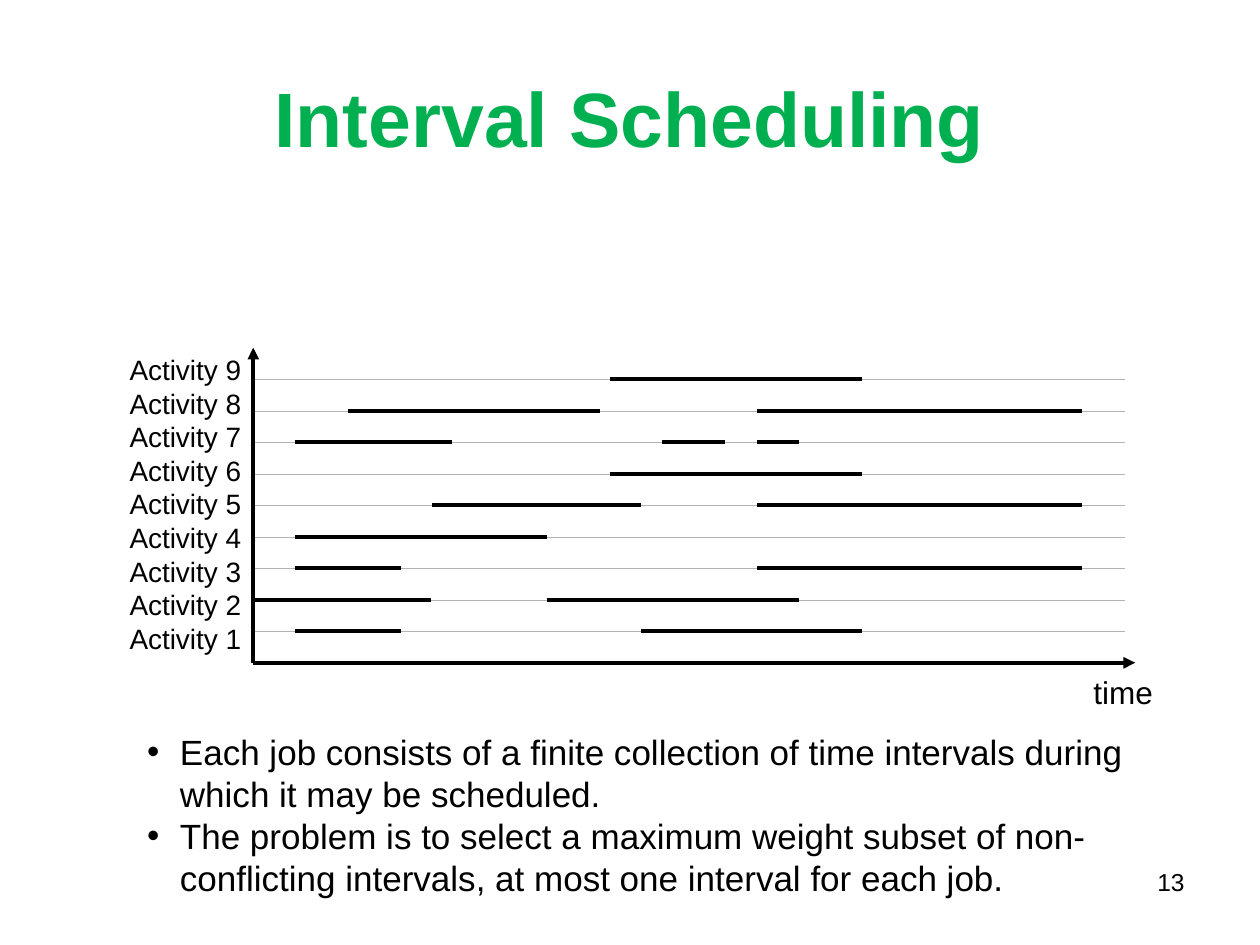
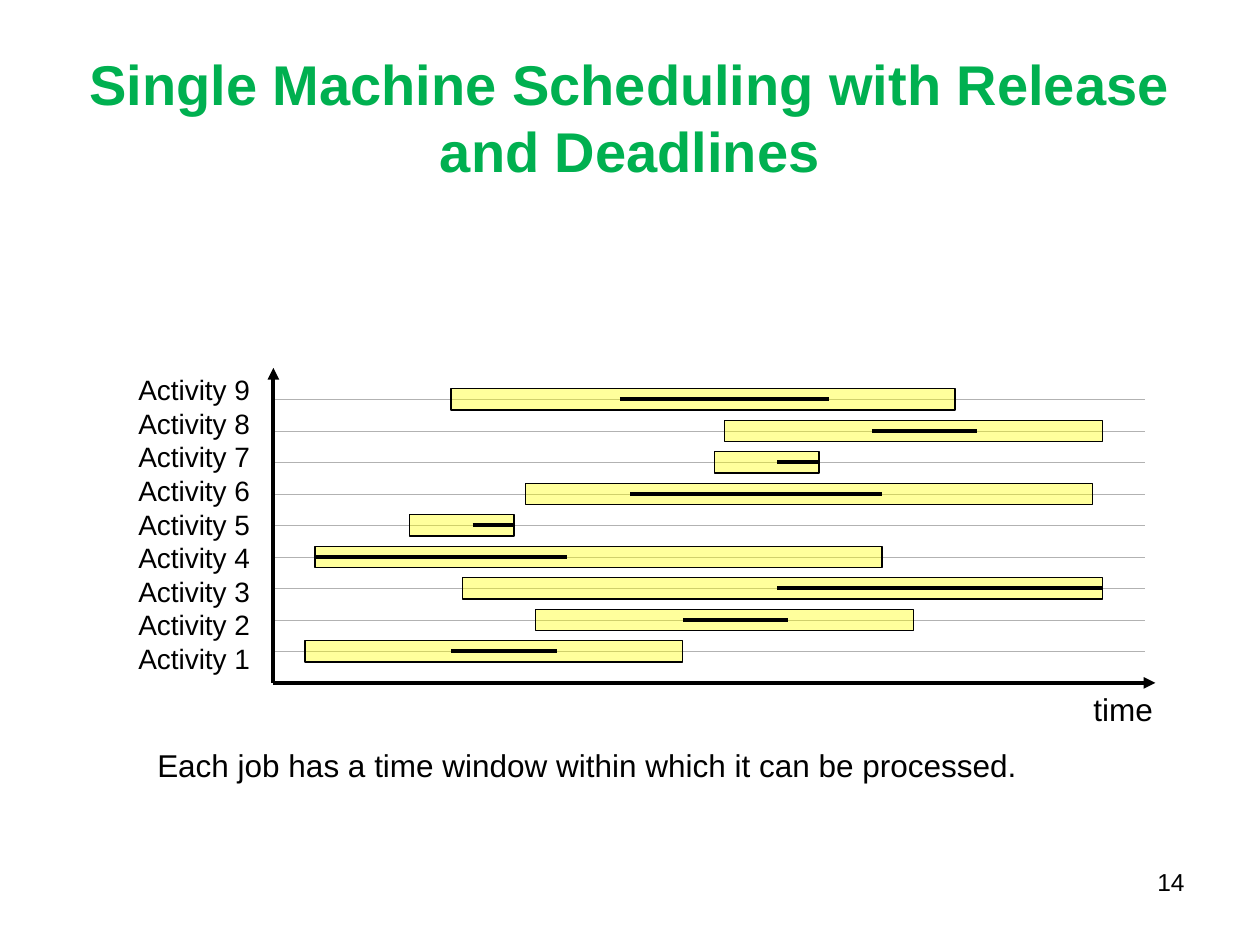
from lxml import etree
from pptx import Presentation
from pptx.dml.color import RGBColor
from pptx.enum.shapes import MSO_CONNECTOR, MSO_SHAPE
from pptx.enum.text import MSO_ANCHOR, PP_ALIGN
from pptx.oxml.ns import qn
from pptx.util import Inches, Pt

LEFT, CENTER, RIGHT = PP_ALIGN.LEFT, PP_ALIGN.CENTER, PP_ALIGN.RIGHT
TOP, MIDDLE = MSO_ANCHOR.TOP, MSO_ANCHOR.MIDDLE
STRAIGHT = MSO_CONNECTOR.STRAIGHT
RECTANGLE = MSO_SHAPE.RECTANGLE

BLACK = RGBColor(0x00, 0x00, 0x00)
GREEN = RGBColor(0x00, 0xB0, 0x50)
GREY = RGBColor(0xB2, 0xB2, 0xB2)
YELLOW = RGBColor(0xFF, 0xFF, 0x00)
FONT = "Arial"

ACTIVITIES = 9
ROW_GAP = 0.25
WINDOW_HEIGHT = 0.17
AXIS_LENGTH, AXIS_HEIGHT, GRID_LENGTH = 7, 2.5, 6.92

slides = [
    {
        "title": "Interval Scheduling", "title_size": 44, "number": 13,
        "origin": (2.01, 5.26), "labels_at": (0.93, 2.75), "time_top": 5.29,
        "windows": {},
        "intervals": {
            1: [(2.34, 3.18), (5.09, 6.84)],
            2: [(2.01, 3.42), (4.34, 6.34)],
            3: [(2.34, 3.18), (6.01, 8.59)],
            4: [(2.34, 4.34)],
            5: [(3.43, 5.09), (6.01, 8.59)],
            6: [(4.84, 6.84)],
            7: [(2.34, 3.59), (5.25, 5.75), (6.01, 6.34)],
            8: [(2.76, 4.76), (6.01, 8.59)],
            9: [(4.84, 6.84)],
        },
        "notes_box": (1.07, 5.75, 8.6, 1.77), "notes_size": 20, "bullets": True,
        "notes": [
            "Each job consists of a finite collection of time intervals during "
            "which it may be scheduled.",
            "The problem is to select a maximum weight subset of non-conflicting "
            "intervals, at most one interval for each job.",
        ],
    },
    {
        "title": "Single Machine Scheduling with Release and Deadlines",
        "title_size": 32, "number": 14,
        "origin": (2.17, 5.42), "labels_at": (1, 2.91), "time_top": 5.43,
        "windows": {
            1: (2.42, 5.42), 2: (4.25, 7.25), 3: (3.67, 8.75),
            4: (2.5, 7), 5: (3.25, 4.08), 6: (4.17, 8.67),
            7: (5.67, 6.5), 8: (5.75, 8.75), 9: (3.58, 7.58),
        },
        "intervals": {
            1: [(3.58, 4.42)], 2: [(5.42, 6.25)], 3: [(6.17, 8.75)],
            4: [(2.5, 4.5)], 5: [(3.75, 4.08)], 6: [(5, 7)],
            7: [(6.17, 6.5)], 8: [(6.92, 7.75)], 9: [(4.92, 6.58)],
        },
        "notes_box": (1.15, 5.87, 7.2, 0.4), "notes_size": 18, "bullets": False,
        "notes": ["Each job has a time window within which it can be processed."],
    },
]


def add_text(s, box, lines, size, color=BLACK, align=LEFT, anchor=TOP, bold=False):
    tf = s.shapes.add_textbox(*map(Inches, box)).text_frame
    tf.word_wrap = True
    tf.vertical_anchor = anchor
    tf.text = "\n".join(lines)
    for p in tf.paragraphs:
        p.alignment = align
        p.font.name = FONT
        p.font.size = Pt(size)
        p.font.bold = bold
        p.font.color.rgb = color
    return tf


def add_line(s, x1, y1, x2, y2, color=BLACK, width=2.25, arrow=False):
    line = s.shapes.add_connector(STRAIGHT, *map(Inches, (x1, y1, x2, y2)))
    line.line.color.rgb = color
    line.line.width = Pt(width)
    if arrow:
        etree.SubElement(line.line._get_or_add_ln(), qn("a:tailEnd"), type="triangle")
    etree.SubElement(line._element.spPr, qn("a:effectLst"))


prs = Presentation()
prs.slide_width = Inches(10)
prs.slide_height = Inches(7.5)

for content in slides:
    s = prs.slides.add_slide(prs.slide_layouts[6])
    add_text(s, (0.5, 0.3, 9, 1.25), [content["title"]], content["title_size"],
             GREEN, CENTER, MIDDLE, bold=True)
    add_text(s, (7.17, 6.83, 2.33, 0.52), [str(content["number"])], 14, align=RIGHT)

    x0, y0 = content["origin"]
    for activity in range(1, ACTIVITIES + 1):
        y = y0 - activity * ROW_GAP
        add_line(s, x0, y, x0 + GRID_LENGTH, y, GREY, 0.25)
    add_line(s, x0, y0, x0 + AXIS_LENGTH, y0, arrow=True)
    add_line(s, x0, y0, x0, y0 - AXIS_HEIGHT, arrow=True)

    for activity, (release, deadline) in content["windows"].items():
        top = y0 - activity * ROW_GAP - WINDOW_HEIGHT / 2
        sp = s.shapes.add_shape(RECTANGLE, Inches(release), Inches(top),
                                Inches(deadline - release), Inches(WINDOW_HEIGHT))
        sp.shadow.inherit = False
        sp.fill.solid()
        sp.fill.fore_color.rgb = YELLOW
        color = sp._element.spPr.find(qn("a:solidFill"))[0]
        etree.SubElement(color, qn("a:alpha"), val="39000")
        sp.line.color.rgb = BLACK
        sp.line.width = Pt(0.75)

    for activity, spans in content["intervals"].items():
        y = y0 - activity * ROW_GAP
        for start, end in spans:
            add_line(s, start, y, end, y)

    labels = [f"Activity {n}" for n in range(ACTIVITIES, 0, -1)]
    add_text(s, (*content["labels_at"], 1.2, 2.5), labels, 16)
    add_text(s, (8.58, content["time_top"], 0.8, 0.4), ["time"], 18)

    tf = add_text(s, content["notes_box"], content["notes"], content["notes_size"])
    if content["bullets"]:
        for p in tf.paragraphs:
            pPr = p._p.get_or_add_pPr()
            pPr.set("marL", str(Inches(0.26)))
            pPr.set("indent", str(-Inches(0.26)))
            pPr.insert(0, etree.Element(qn("a:buFont"), typeface=FONT))
            pPr.insert(1, etree.Element(qn("a:buChar"), char="•"))

prs.save("out.pptx")
